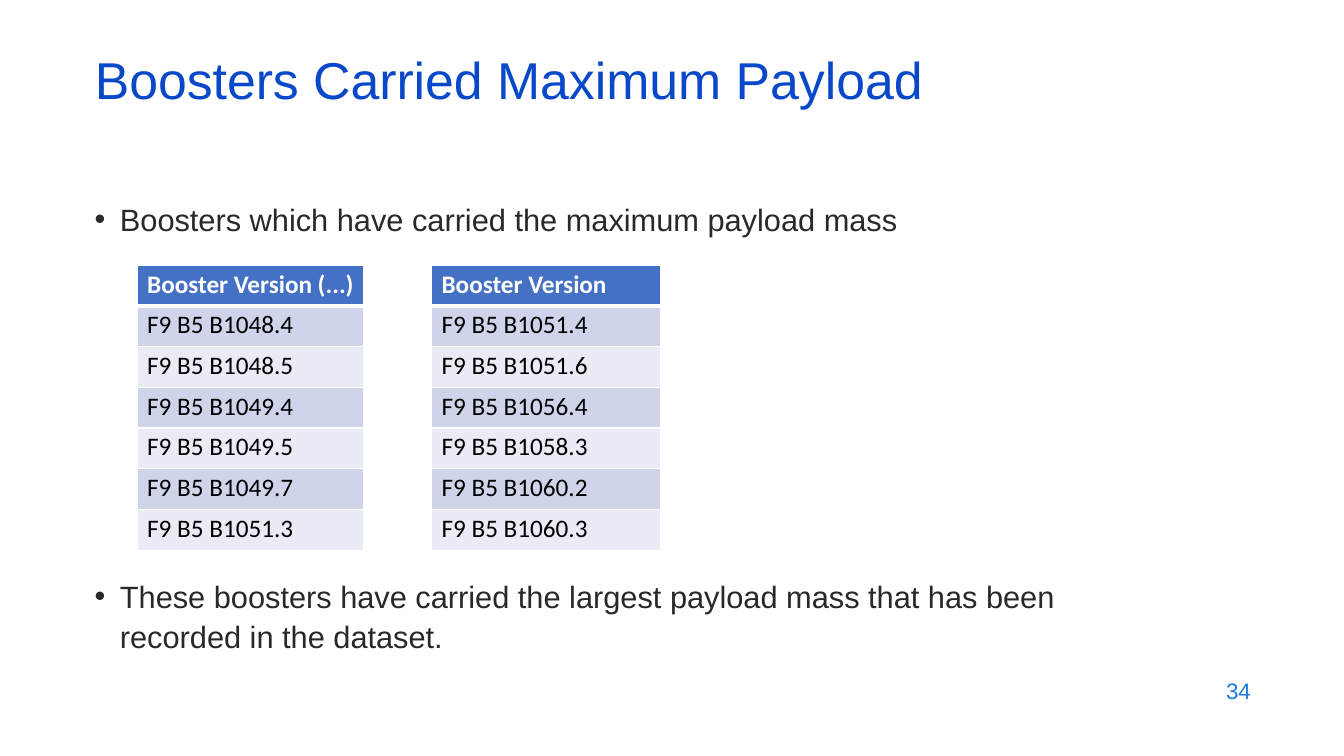
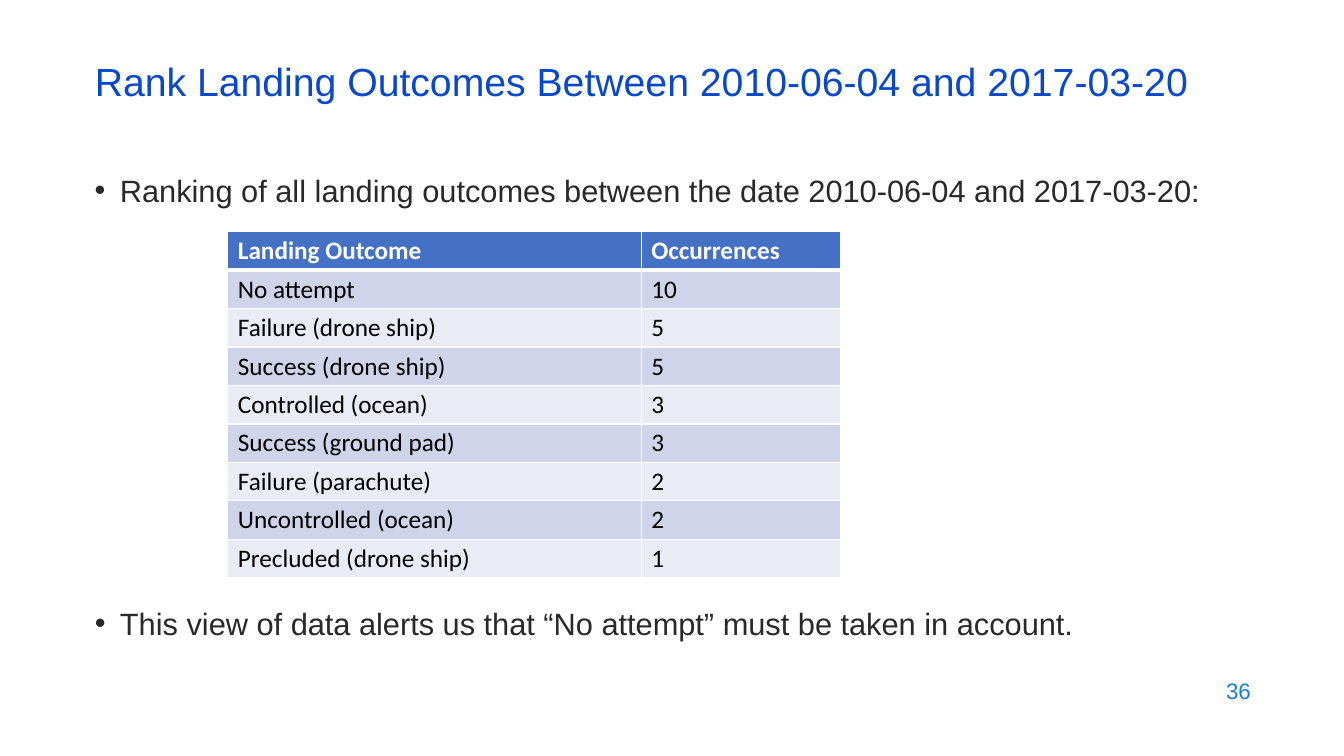
from dataclasses import dataclass
from typing import Any

from lxml.etree import SubElement
from pptx import Presentation
from pptx.dml.color import RGBColor
from pptx.enum.text import MSO_AUTO_SIZE
from pptx.oxml.ns import qn
from pptx.slide import Slide
from pptx.table import _Cell
from pptx.text.text import _Paragraph
from pptx.util import Inches, Pt

COLORS = {
    "title": "0A48CA",
    "body": "292929",
    "number": "1C7CDB",
    "header": "4471C4",
    "odd": "CFD4EA",
    "even": "E9EBF5",
    "white": "FFFFFF",
    "black": "000000",
}
LEFT = 0.93
BODY_FONT = {"name": "Arial", "size": Pt(22)}
NUMBER_FONT = {"name": "Arial", "size": Pt(16)}
CELL_FONT = {"name": "Calibri", "size": Pt(18)}
FRAME_FORMAT = {
    "word_wrap": True,
    "auto_size": MSO_AUTO_SIZE.SHAPE_TO_FIT_TEXT,
    "margin_left": 0,
    "margin_right": 0,
    "margin_bottom": 0,
}
CELL_FORMAT = {
    "margin_left": Inches(0.1),
    "margin_top": Inches(0.04),
    "margin_right": 0,
    "margin_bottom": 0,
}


@dataclass(frozen=True)
class Title:
    text: str
    top: float
    height: float
    size: int


@dataclass(frozen=True)
class Bullet:
    text: str
    top: float
    width: float
    height: float = 0.38
    inset: float = 0.01
    spacing: float = 1.0


@dataclass(frozen=True)
class Grid:
    left: float
    top: float
    height: float
    widths: tuple[float, ...]
    rows: list[tuple[str, ...]]


@dataclass(frozen=True)
class Page:
    number: int
    title: Title
    bullets: list[Bullet]
    grids: list[Grid]


def versions(left: float, width: float, header: str, *suffixes: str) -> Grid:
    rows = [(header,)] + [(f"F9 B5 B{suffix}",) for suffix in suffixes]
    return Grid(left, 2.63, 2.83, (width,), rows)


PAGES = [
    Page(
        34,
        Title("Boosters Carried Maximum Payload", 0.46, 0.64, 37),
        [
            Bullet("Boosters which have carried the maximum payload mass", 1.98, 9.33),
            Bullet(
                "These boosters have carried the largest payload mass that has been "
                "recorded in the dataset.",
                5.65, 10.7, 0.83, 0.05, 1.08,
            ),
        ],
        [
            versions(1.36, 2.25, "Booster Version (...)",
                     "1048.4", "1048.5", "1049.4", "1049.5", "1049.7", "1051.3"),
            versions(4.28, 2.27, "Booster Version",
                     "1051.4", "1051.6", "1056.4", "1058.3", "1060.2", "1060.3"),
        ],
    ),
    Page(
        36,
        Title("Rank Landing Outcomes Between 2010-06-04 and 2017-03-20", 0.56, 0.49, 28),
        [
            Bullet(
                "Ranking of all landing outcomes between the date 2010-06-04 and 2017-03-20:",
                1.69, 11.94,
            ),
            Bullet(
                "This view of data alerts us that “No attempt” must be taken in account.",
                5.99, 10.98,
            ),
        ],
        [
            Grid(2.26, 2.3, 3.43, (4.1, 1.98), [
                ("Landing Outcome", "Occurrences"),
                ("No attempt", "10"),
                ("Failure (drone ship)", "5"),
                ("Success (drone ship)", "5"),
                ("Controlled (ocean)", "3"),
                ("Success (ground pad)", "3"),
                ("Failure (parachute)", "2"),
                ("Uncontrolled (ocean)", "2"),
                ("Precluded (drone ship)", "1"),
            ]),
        ],
    ),
]


def rgb(key: str) -> RGBColor:
    return RGBColor.from_string(COLORS[key])


def apply_format(target: Any, values: dict[str, Any]) -> None:
    for name, value in values.items():
        setattr(target, name, value)


def style_text(paragraph: _Paragraph, font: dict[str, Any], color: str) -> None:
    run_font = paragraph.runs[0].font
    apply_format(run_font, font)
    run_font.color.rgb = rgb(color)


def add_text(slide: Slide, text: str, left: float, top: float, width: float,
             height: float, font: dict[str, Any], color: str,
             inset: float = 0.01) -> _Paragraph:
    box = slide.shapes.add_textbox(*map(Inches, (left, top, width, height)))
    apply_format(box.text_frame, FRAME_FORMAT | {"margin_top": Inches(inset)})
    paragraph = box.text_frame.paragraphs[0]
    paragraph.text = text
    style_text(paragraph, font, color)
    return paragraph


def add_bullet(slide: Slide, bullet: Bullet) -> None:
    paragraph = add_text(slide, bullet.text, LEFT, bullet.top, bullet.width,
                         bullet.height, BODY_FONT, "body", bullet.inset)
    properties = paragraph._p.get_or_add_pPr()
    properties.set("marL", str(Inches(0.26)))
    properties.set("indent", str(Inches(-0.25)))
    bullet_color = SubElement(properties, qn("a:buClr"))
    SubElement(bullet_color, qn("a:srgbClr"), val=COLORS["body"])
    SubElement(properties, qn("a:buFont"), typeface="Arial")
    SubElement(properties, qn("a:buChar"), char="•")
    paragraph.line_spacing = bullet.spacing


def add_borders(cell: _Cell, row: int) -> None:
    properties = cell._tc.get_or_add_tcPr()
    points = {
        "lnL": 1,
        "lnR": 1,
        "lnT": 3 if row == 1 else 1,
        "lnB": 3 if row == 0 else 1,
    }
    for position, (side, width) in enumerate(points.items()):
        border = SubElement(properties, qn(f"a:{side}"), w=str(Pt(width)))
        fill = SubElement(border, qn("a:solidFill"))
        SubElement(fill, qn("a:srgbClr"), val=COLORS["white"])
        properties.insert(position, border)


def add_grid(slide: Slide, grid: Grid) -> None:
    table = slide.shapes.add_table(
        len(grid.rows), len(grid.widths), Inches(grid.left), Inches(grid.top),
        Inches(sum(grid.widths)), Inches(grid.height),
    ).table
    for column, width in zip(table.columns, grid.widths):
        column.width = Inches(width)
    for row, texts in enumerate(grid.rows):
        is_header = row == 0
        fill = "header" if is_header else ("odd" if row % 2 else "even")
        for column, text in enumerate(texts):
            cell = table.cell(row, column)
            apply_format(cell, CELL_FORMAT | {"text": text})
            cell.fill.solid()
            cell.fill.fore_color.rgb = rgb(fill)
            style_text(cell.text_frame.paragraphs[0],
                       CELL_FONT | {"bold": is_header},
                       "white" if is_header else "black")
            add_borders(cell, row)


def add_page(slide: Slide, page: Page) -> None:
    title = page.title
    add_text(slide, title.text, LEFT + 0.01, title.top, 11.94, title.height,
             {"name": "Arial", "size": Pt(title.size)}, "title")
    for bullet in page.bullets:
        add_bullet(slide, bullet)
    for grid in page.grids:
        add_grid(slide, grid)
    number = add_text(slide, str(page.number), 12.16, 6.68, 0.31, 0.28,
                      NUMBER_FONT, "number", 0)
    number.line_spacing = 1.15


def main() -> None:
    presentation = Presentation()
    presentation.slide_width = Inches(13.33)
    presentation.slide_height = Inches(7.5)
    blank = presentation.slide_layouts[6]
    for page in PAGES:
        add_page(presentation.slides.add_slide(blank), page)
    presentation.save("out.pptx")


if __name__ == "__main__":
    main()
